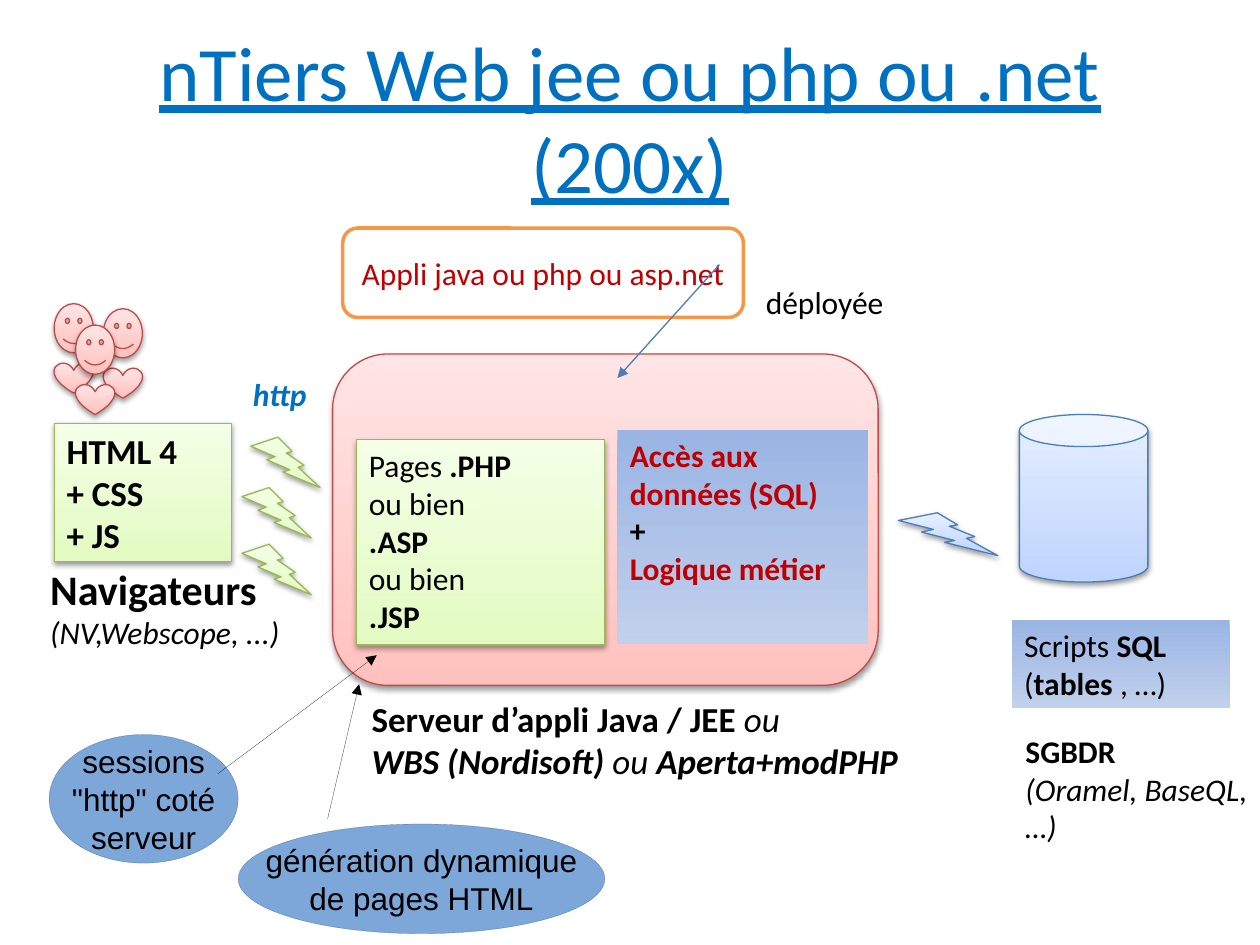
from lxml.etree import SubElement
from pptx import Presentation
from pptx.dml.color import RGBColor
from pptx.enum.shapes import MSO_CONNECTOR, MSO_SHAPE as Kind
from pptx.enum.text import MSO_ANCHOR as Anchor, PP_ALIGN as Align
from pptx.oxml.ns import qn
from pptx.util import Inches, Pt

hex_color = RGBColor.from_string

deck = Presentation()
deck.slide_width, deck.slide_height = Inches(10), Inches(7.5)
slide = deck.slides.add_slide(deck.slide_layouts[6])
shapes = slide.shapes

# The grid has 100 columns and 75 rows of square cells.
CELL = deck.slide_width // 100
HAIRLINE = 0.1

# Looks: fill stops, gradient angle, line colour, line width, shadow
PINK = (["FFC1BE", "FFE5E5"], 90, "BE4B48", 0.75, True)
GREEN = (["E3FBC2", "F4FFE6"], 90, "98B855", 0.75, True)
PALE_BLUE = (["BFD4FE", "E5EFFF"], 90, "4A7EBB", 0.75, True)
PANEL_BLUE = (["9AB4E4", "C1D1EC"], 270, None, 0, False)
BUBBLE = (["7DA7D8"], 0, "3465A4", HAIRLINE, False)
OUTLINED = (["FFFFFF"], 0, "F79646", 2, False)
RED, BLUE, BLACK = "C00000", "0070C0", "000000"


def draw(kind, at, look):
    """Add a preset shape, or a text box when kind is None; at is in grid cells."""
    place = [int(cells * CELL) for cells in at]
    if kind is None:
        return shapes.add_textbox(*place)
    shape = shapes.add_shape(kind, *place)
    stops, angle, line, width, shadow = look
    if len(stops) == 1:
        shape.fill.solid()
        shape.fill.fore_color.rgb = hex_color(stops[0])
    else:
        shape.fill.gradient()
        shape.fill.gradient_angle = angle
        for stop, color in zip(shape.fill.gradient_stops, stops):
            stop.color.rgb = hex_color(color)
    if line:
        shape.line.color.rgb = hex_color(line)
        shape.line.width = Pt(width)
    else:
        shape.line.fill.background()
    shape.shadow.inherit = False
    if shadow:
        effects = shape._element.spPr.find(qn("a:effectLst"))
        outer = SubElement(effects, qn("a:outerShdw"), blurRad="40000",
                           dist="20000", dir="5400000", rotWithShape="0")
        tint = SubElement(outer, qn("a:srgbClr"), val=BLACK)
        SubElement(tint, qn("a:alpha"), val="38000")
    return shape


def write(holder, paragraphs, size=18, color=BLACK, font="Calibri",
          centred=False, wrap=True):
    """Fill holder; a run is (text, flags from "biu", optional size, optional colour)."""
    frame = holder.text_frame
    frame.word_wrap = wrap
    frame.vertical_anchor = Anchor.MIDDLE if centred else Anchor.TOP
    if not wrap and not centred:
        frame.margin_right = 0
    for index, runs in enumerate(paragraphs):
        paragraph = frame.add_paragraph() if index else frame.paragraphs[0]
        paragraph.alignment = Align.CENTER if centred else Align.LEFT
        for words, flags, *own in runs:
            own_size, own_color = (own + [None, None])[:2]
            for part, piece in enumerate(words.split("\n")):
                if part:
                    paragraph.add_line_break()
                if not piece:
                    continue
                run = paragraph.add_run()
                run.text = piece
                run.font.name = font
                run.font.size = Pt(own_size or size)
                run.font.color.rgb = hex_color(own_color or color)
                run.font.bold = "b" in flags
                run.font.italic = "i" in flags
                run.font.underline = "u" in flags


# Server frame, behind everything else
draw(Kind.ROUNDED_RECTANGLE, (26.4, 28.1, 43.3, 26.3), PINK)

# Users: a face above a heart
for left, top in [(4.3, 24.1), (8.2, 24.5), (6, 25.8)]:
    draw(Kind.SMILEY_FACE, (left, top, 3.1, 3.9), PINK)
    draw(Kind.HEART, (left, top + 4.7, 3.1, 2.4), PINK)

# Database and exchanges
draw(Kind.CAN, (80.9, 32.9, 10.2, 13.3), PALE_BLUE)
draw(Kind.LIGHTNING_BOLT, (71.3, 40.7, 7.9, 3.4), PALE_BLUE)
for left, top in [(19.9, 34.7), (19.2, 38.7), (19.2, 43.2)]:
    draw(Kind.LIGHTNING_BOLT, (left, top, 5.5, 4), GREEN)

# Everything that carries words: kind, place, look, paragraphs, text options
or_else = [("ou bien", "")]
labels = [
    (None, (5, 3, 90, 12.5), None,
     [[("nTiers Web jee ou php ou .net (200x)", "u")]],
     dict(size=44, color=BLUE, centred=True)),
    (Kind.RECTANGLE, (4.3, 33.6, 14.1, 11), GREEN,
     [[("HTML 4 \n+ CSS \n+ JS", "b")]], dict(size=20)),
    (None, (3, 44.2, 22, 8), None,
     [[("Navigateurs\n", "b", 24), ("(NV,Webscope, ...)", "i")]],
     dict(wrap=False)),
    (Kind.RECTANGLE, (49, 34.1, 19.9, 17), PANEL_BLUE,
     [[("Accès aux données (SQL)", "b")], [("+", "b", None, BLACK)],
      [("Logique métier", "b")]], dict(color=RED)),
    (None, (28.5, 54.9, 48.2, 10.1), None,
     [[("Serveur d’appli Java / JEE ", "b"), ("ou \n", "i"),
       ("WBS (Nordisoft)", "bi"), (" ou ", "i"), ("Aperta+modPHP", "bi")]],
     dict(size=20)),
    (Kind.RECTANGLE, (80.3, 49.2, 17.3, 7), PANEL_BLUE,
     [[("Scripts ", ""), ("SQL \n", "b"), ("(", ""), ("tables", "b"), (" , …)", "")]],
     {}),
    (None, (80.4, 57.6, 19.6, 10), None,
     [[("SGBDR\n", "b"), ("(Oramel, BaseQL,\n…)", "i")]], dict(wrap=False)),
    (Kind.RECTANGLE, (28.3, 34.9, 19.7, 16.3), GREEN,
     [[("Pages ", ""), (".PHP", "b")], or_else, [(".ASP", "b")], or_else,
      [(".JSP", "b")]], {}),
    (Kind.ROUNDED_RECTANGLE, (27.2, 18.1, 31.8, 7.1), OUTLINED,
     [[("Appli java ou php ou asp.net", "")]], dict(color=RED, centred=True)),
    (None, (59.8, 22, 12, 4), None, [[("déployée", "")]], dict(wrap=False)),
    (None, (19.1, 29.3, 7, 4), None, [[("http", "bi")]],
     dict(color=BLUE, wrap=False)),
    (Kind.OVAL, (3.9, 58.3, 15, 10.2), BUBBLE,
     [[("sessions", "")], [('"http" coté', "")], [("serveur", "")]],
     dict(font="Arial", centred=True, wrap=False)),
    (Kind.OVAL, (18.9, 65.4, 29.1, 8.7), BUBBLE,
     [[("génération dynamique", "")], [("de pages HTML", "")]],
     dict(font="Arial", centred=True, wrap=False)),
]
for kind, at, look, paragraphs, options in labels:
    write(draw(kind, at, look), paragraphs, **options)

# Arrows: deployment, sessions, page generation
for ends, color, width in [
    ((57.1, 21, 49, 30), "4A7EBB", 0.75),
    ((17.3, 61.4, 29.9, 52), BLACK, HAIRLINE),
    ((26, 65, 28.5, 54.3), BLACK, HAIRLINE),
]:
    arrow = shapes.add_connector(MSO_CONNECTOR.STRAIGHT,
                                 *[int(cells * CELL) for cells in ends])
    arrow.line.color.rgb = hex_color(color)
    arrow.line.width = Pt(width)
    SubElement(arrow.line._get_or_add_ln(), qn("a:tailEnd"), type="triangle")
    SubElement(arrow._element.spPr, qn("a:effectLst"))

deck.save("out.pptx")
